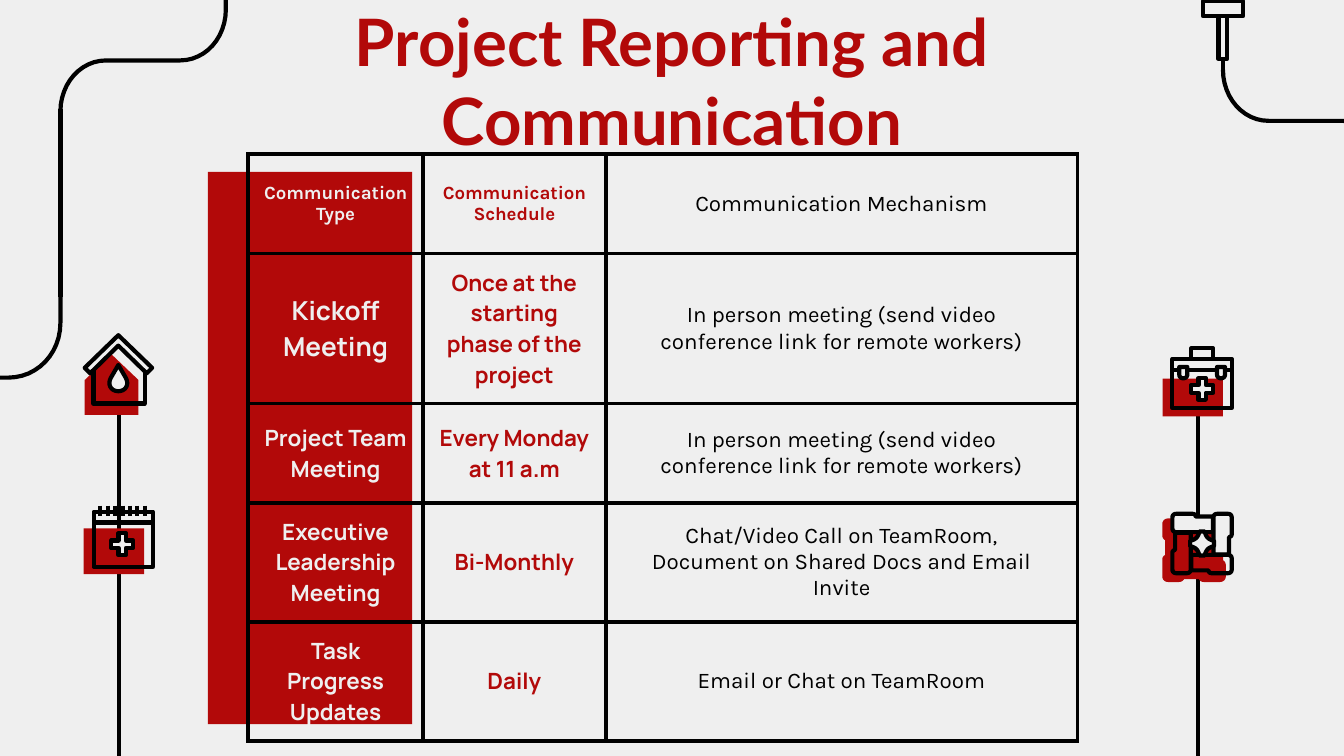
import lxml.etree
import pptx
import pptx.dml.color
import pptx.enum.shapes
import pptx.enum.text
import pptx.oxml.ns
import pptx.util

INK = {"red": "B20909", "pale": "EFEFEF", "black": "000000"}
KIND = pptx.enum.shapes.MSO_SHAPE
MID = pptx.enum.text.MSO_ANCHOR.MIDDLE
CENTER = pptx.enum.text.PP_ALIGN.CENTER
STROKE = 2.25

HEADS = [("Karla", 10, "pale", True), ("Karla", 10, "red", True), ("Karla", 12, "black", False)]
BODY = [("Manrope", 12, "pale", True), ("Manrope", 12, "red", True), ("Karla", 12, "black", False)]
REMOTE = "In person meeting (send video conference link for remote workers)"
ROWS = [
    ("Communication Type", "Communication Schedule", "Communication Mechanism"),
    ("Kickoff Meeting", "Once at the starting phase of the project", REMOTE),
    ("Project Team Meeting", "Every Monday at 11 a.m", REMOTE),
    ("Executive Leadership Meeting", "Bi-Monthly",
     "Chat/Video Call on TeamRoom, Document on Shared Docs and Email Invite"),
    ("Task Progress Updates", "Daily", "Email or Chat on TeamRoom"),
]


def pt(size):
    return pptx.util.Pt(size)


def rgb(name):
    return pptx.dml.color.RGBColor.from_string(INK[name])


def put(item, values):
    for key, value in values.items():
        setattr(item, key, value)


def paint(shape, fill=None, line="black"):
    shape.shadow.inherit = False
    if fill:
        shape.fill.solid()
        shape.fill.fore_color.rgb = rgb(fill)
    else:
        shape.fill.background()
    if line:
        shape.line.width = pt(STROKE)
        shape.line.color.rgb = rgb(line)
    else:
        shape.line.fill.background()
    return shape


def block(shapes, box, fill=None, line="black", kind=KIND.RECTANGLE):
    return paint(shapes.add_shape(kind, *map(pt, box)), fill, line)


def rule(shapes, start, end):
    line = shapes.add_connector(
        pptx.enum.shapes.MSO_CONNECTOR.STRAIGHT, *map(pt, start + end))
    line.line.width = pt(STROKE)
    line.line.color.rgb = rgb("black")
    lxml.etree.SubElement(line._element.spPr, pptx.oxml.ns.qn("a:effectLst"))


def trace(steps, parts=12):
    dots = [steps[0]]
    for step in steps[1:]:
        if len(step) == 2:
            dots.append(step)
            continue
        ends = [dots[-1], step[:2], step[2:4], step[4:]]
        for i in range(1, parts + 1):
            t = i / parts
            mix = ((1 - t) ** 3, 3 * t * (1 - t) ** 2, 3 * t * t * (1 - t), t ** 3)
            dots.append(tuple(sum(m * e[k] for m, e in zip(mix, ends)) for k in (0, 1)))
    return dots


def form(shapes, x, y, dots, fill=None, line="black", close=True):
    dots = [(100 * a, 100 * b) for a, b in dots]
    maker = shapes.build_freeform(*dots[0], scale=pt(1) / 100)
    maker.add_line_segments(dots[1:], close=close)
    paint(maker.convert_to_shape(pt(x), pt(y)), fill, line)


def spin(dots, mid):
    turns = [dots]
    for _ in range(3):
        turns.append([(2 * mid - b, a) for a, b in turns[-1]])
    return turns


def cross(shapes, x, y):
    sign = block(shapes, (x, y, 11.7, 11.7), "pale", kind=KIND.CROSS)
    sign.adjustments[0] = 0.33


def bend(shapes, x, y, sign=1):
    dots = trace([(0, 0), (0, 15.1, 10.8, 27.4, 24.5, 27.4), (64.1, 27.4),
                  (77.8, 27.4, 88.6, 39.6, 88.6, 54.7), (88.6, 64.8)])
    form(shapes, x, y, [(a, sign * b) for a, b in dots], close=False)


def pipe(shapes, x, y):
    bend(shapes, x + 32.4, y + 59.8, -1)
    rule(shapes, (x + 32.4, y + 58.3), (x + 32.4, y + 159.1))
    form(shapes, x, y, trace([
        (32.4, 144), (32.4, 172.8), (32.4, 189.5, 20, 202.3, 4.5, 202.3),
        (-0.7, 202.3)]), close=False)


def plug(shapes, x, y):
    bend(shapes, x + 10.8, y + 36.7)
    block(shapes, (x, y, 21.6, 7.9))
    block(shapes, (x + 8.4, y + 7.9, 4.7, 23))
    rule(shapes, (x + 10.8, y + 38.8), (x + 10.8, y + 31.6))


def house(shapes, x, y):
    form(shapes, x, y, [(15.8, 11.5), (30.2, 25.2), (30.2, 43.9), (1.4, 43.9), (1.4, 25.2)],
         "red", None)
    form(shapes, x, y, [(6.1, 20), (6.1, 37.8), (33.5, 37.8), (33.5, 20)], close=False)
    form(shapes, x, y, [(19.4, 1.2), (37.5, 18.7), (34.6, 21.6), (19.4, 6.8),
                        (4.3, 21.6), (1.4, 18.7)])
    form(shapes, x, y, trace([
        (19.4, 17.1), (23.4, 24), (25.5, 28, 23, 31.2, 19.4, 31.2),
        (15.8, 31.2, 13.3, 28, 15.4, 24)]), "pale")


def diary(shapes, x, y):
    block(shapes, (x, y + 12.2, 32.4, 24.5), "red", None)
    block(shapes, (x + 5.4, y + 3.2, 31.7, 29.6))
    rule(shapes, (x + 5.4, y + 9), (x + 37.1, y + 9))
    for i in range(7):
        tick = x + 9 + 3.96 * i
        rule(shapes, (tick, y), (tick, y + 5.8))
    cross(shapes, x + 14.8, y + 14.8)


def kit(shapes, x, y):
    block(shapes, (x, y + 17.3, 32.4, 20.2), "red", None)
    block(shapes, (x + 5.3, y + 6.8, 31.8, 26.1))
    block(shapes, (x + 15.4, y + 1, 11.7, 5.8))
    rule(shapes, (x + 5.3, y + 12.6), (x + 37.1, y + 12.6))
    clip = trace([(0, 0), (4.3, 0), (4.3, 4), (4.3, 6.8, 0, 6.8, 0, 4)])
    for left in (9, 29.2):
        form(shapes, x + left, y + 11, clip, "pale")
    cross(shapes, x + 15.4, y + 16.9)


def hands(shapes, x, y):
    hand = trace([
        (22.7, 10.8), (22.7, 2.5), (13.5, 2.5), (13.2, 1.3, 12.6, 1, 11.8, 1), (3, 1),
        (1.8, 1, 1, 1.8, 1, 3), (1, 8.8), (1, 10, 1.8, 10.8, 3, 10.8)], 6)
    star = trace([(1.5, -6.4), (1.9, -3.6, 3.6, -1.9, 6.4, -1.5)])
    turns = spin(hand, 16.9)
    block(shapes, (x + 6.5, y + 10.4, 20.8, 20.8), "red", None)
    for turn in turns:
        form(shapes, x, y + 3.6, turn, "red", "red")
    left = x + 4.3
    for turn, fill in zip(turns, ("pale", "pale", None, None)):
        form(shapes, left, y, turn, fill)
    form(shapes, left + 16.9, y + 16.9, sum(spin(star, 0), []), "pale")


def post(shapes, x, top, foot, icons):
    rule(shapes, (x, top), (x, foot))
    for icon, left, high in icons:
        icon(shapes, left, high)


def head(slide, box):
    title = slide.shapes.title
    put(title, dict(zip(("left", "top", "width", "height"), map(pt, box))))
    frame = title.text_frame
    put(frame, {"text": "Project Reporting and Communication", "word_wrap": True,
                "auto_size": pptx.enum.text.MSO_AUTO_SIZE.NONE, "vertical_anchor": MID})
    put(frame, {"margin_" + side: pt(7.2) for side in ("left", "right", "top", "bottom")})
    para = frame.paragraphs[0]
    para.alignment = CENTER
    put(para.runs[0].font, {"name": "Lato", "size": pt(35), "bold": True})
    para.runs[0].font.color.rgb = rgb("red")


def edge(cell):
    props = cell._tc.get_or_add_tcPr()
    tag = pptx.oxml.ns.qn
    for side in "LRTB":
        line = lxml.etree.SubElement(props, tag("a:ln" + side), w=str(pt(STROKE)))
        fill = lxml.etree.SubElement(line, tag("a:solidFill"))
        lxml.etree.SubElement(fill, tag("a:srgbClr"), val=INK["black"])
    cell.fill.background()


def grid(shapes, box):
    block(shapes, (box[0] - 21.6, box[1] + 9.4, 109.4, 295.9), "red", None)
    table = shapes.add_table(len(ROWS), 3, *map(pt, box)).table
    put(table, {"first_row": False, "horz_banding": False})
    for col, width in zip(table.columns, (93.6, 97.9, 252.7)):
        col.width = pt(width)
    for r, row in enumerate(ROWS):
        for c, text in enumerate(row):
            cell = table.cell(r, c)
            side = pt(18 if c == 2 else 7.2)
            put(cell, {"text": text, "vertical_anchor": MID, "margin_left": side,
                       "margin_right": side, "margin_top": pt(7.2), "margin_bottom": pt(7.2)})
            edge(cell)
            name, size, ink, bold = (BODY if r else HEADS)[c]
            if (r, c) == (1, 0):
                size = 14
            para = cell.text_frame.paragraphs[0]
            para.alignment = CENTER
            font = para.runs[0].font
            put(font, {"name": name, "size": pt(size), "bold": bold})
            font.color.rgb = rgb(ink)


def main():
    deck = pptx.Presentation()
    put(deck, {"slide_width": pt(720), "slide_height": pt(405)})
    slide = deck.slides.add_slide(deck.slide_layouts[5])
    slide.background.fill.solid()
    slide.background.fill.fore_color.rgb = rgb("pale")
    shapes = slide.shapes
    pipe(shapes, 0, 0)
    plug(shapes, 644.4, 0.7)
    head(slide, (130.3, 20, 459.4, 45.4))
    grid(shapes, (133, 82.6, 444.2, 266.5))
    post(shapes, 641.9, 209.5, 405, [(kit, 622.8, 185.6), (hands, 622.8, 274.3)])
    post(shapes, 63.7, 205.2, 405, [(house, 44, 178.4), (diary, 44.8, 270.9)])
    deck.save("out.pptx")


if __name__ == "__main__":
    main()
